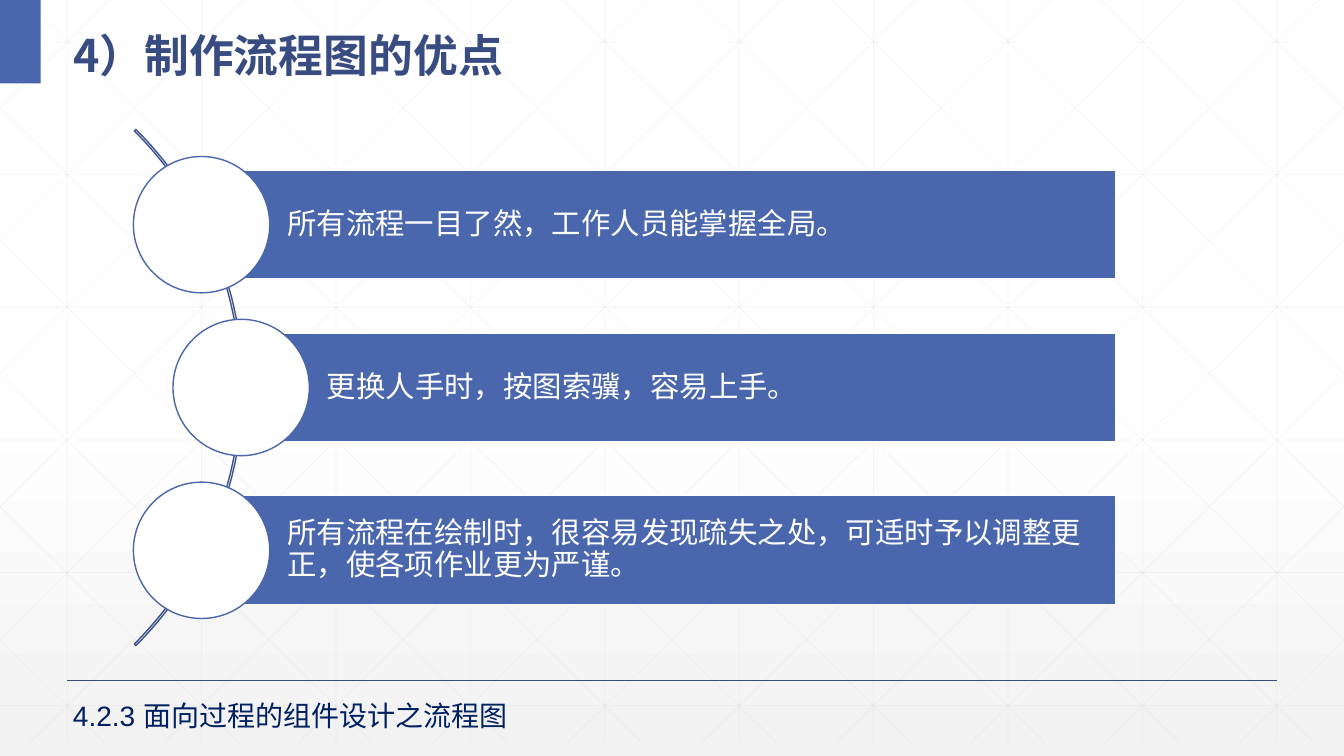
from lxml import etree
from pptx import Presentation
from pptx.dml.color import RGBColor
from pptx.enum import shapes, text
from pptx.oxml.ns import qn
from pptx.util import Pt

# Content
TITLE = "4）制作流程图的优点"
FOOTER = "4.2.3 面向过程的组件设计之流程图"
ADVANTAGES = [  # text, bar left edge
    ("所有流程一目了然，工作人员能掌握全局。", 144),
    ("更换人手时，按图索骥，容易上手。", 172.3),
    ("所有流程在绘制时，很容易发现疏失之处，可适时予以调整更正，使各项作业更为严谨。", 144),
]

WHITE = RGBColor(0xFF, 0xFF, 0xFF)
PALE = RGBColor(0xF2, 0xF2, 0xF2)
GRID = RGBColor(0xD9, 0xD9, 0xD9)
BLUE = RGBColor(0x4A, 0x66, 0xAC)
ARC_BLUE = RGBColor(0x3B, 0x52, 0x8A)
DARK_BLUE = RGBColor(0x38, 0x4C, 0x81)
NAVY = RGBColor(0x00, 0x20, 0x60)
LATIN, CJK = "Arial", "Noto Sans CJK SC"

# Geometry in points
WIDTH, HEIGHT = 960, 540
GRID_BOTTOM, GRID_STEP, GRID_ROW = 530.6, 96, 94.75
DIAGONAL_START, DIAGONAL_RUN = 18, 536.7
BAR_RIGHT, BAR_HEIGHT, BAR_PITCH = 797, 77.9, 116.3
CENTER_Y, CIRCLE = 276.8, 97.4
ARC_LEFT, ARC_SIZE = -347.8, 521.3

deck = Presentation()
deck.slide_width, deck.slide_height = Pt(WIDTH), Pt(HEIGHT)
page = deck.slides.add_slide(deck.slide_layouts[5])


def add_line(x1, y1, x2, y2, color, width, alpha=None):
    line = page.shapes.add_connector(
        shapes.MSO_CONNECTOR.STRAIGHT, Pt(x1), Pt(y1), Pt(x2), Pt(y2))
    line.line.color.rgb = color
    line.line.width = Pt(width)
    if alpha:
        tint = next(line.element.iter(qn("a:srgbClr")))
        etree.SubElement(tint, qn("a:alpha"), val=str(alpha * 1000))
    etree.SubElement(line.element.spPr, qn("a:effectLst"))


def add_shape(kind, left, top, width, height, fill=None, outline=None):
    shape = page.shapes.add_shape(kind, Pt(left), Pt(top), Pt(width), Pt(height))
    shape.shadow.inherit = False
    if fill is None:
        shape.fill.background()
    else:
        shape.fill.solid()
        shape.fill.fore_color.rgb = fill
    if outline is None:
        shape.line.fill.background()
    else:
        shape.line.color.rgb = outline
        shape.line.width = Pt(1)
    return shape


def write(box, words, size, color, latin=LATIN, spacing=None, bold=False,
          anchor=text.MSO_ANCHOR.MIDDLE, wrap=True):
    frame = box.text_frame
    frame.word_wrap = wrap
    frame.vertical_anchor = anchor
    para = frame.paragraphs[0]
    para.text = words
    para.alignment = text.PP_ALIGN.LEFT
    para.line_spacing = spacing
    para.font.size = Pt(size)
    para.font.bold = bold
    para.font.color.rgb = color
    para.font.name = latin
    defaults = next(box.element.iter(qn("a:defRPr")))
    etree.SubElement(defaults, qn("a:ea"), typeface=CJK)
    return frame


# Background gradient
fill = page.background.fill
fill.gradient()
fill.gradient_angle = 270
for stop, color, position in zip(fill.gradient_stops, (WHITE, PALE), (0.53, 1)):
    stop.color.rgb = color
    stop.position = position

# Faint grid: columns, rows, then diagonals mirrored left to right
grid = [(x, 0, x, GRID_BOTTOM) for x in range(48, WIDTH, GRID_STEP)]
grid += [(0, 30 + row * GRID_ROW, WIDTH, 30 + row * GRID_ROW) for row in range(6)]
slope = GRID_BOTTOM / DIAGONAL_RUN
for step in range(-5, 10):
    start = DIAGONAL_START + step * GRID_STEP
    x1, x2 = max(start, 0), min(start + DIAGONAL_RUN, WIDTH)
    y1, y2 = (x1 - start) * slope, (x2 - start) * slope
    grid += [(x1, y1, x2, y2), (WIDTH - x1, y1, WIDTH - x2, y2)]
for ends in grid:
    add_line(*ends, GRID, 0.5, alpha=25)

# Title, corner block and footer rule
add_line(48, 486, 912, 486, DARK_BLUE, 1)
add_shape(shapes.MSO_SHAPE.RECTANGLE, 0, 0, 29, 59.5, BLUE)
title = page.shapes.title
title.left, title.top, title.width, title.height = Pt(45), Pt(7.2), Pt(894), Pt(52.5)
write(title, TITLE, 32, DARK_BLUE, CJK, 1.3, True)
page.shapes.element.append(title.element)  # bring above the grid

# Arc behind the list
arc = add_shape(shapes.MSO_SHAPE.BLOCK_ARC, ARC_LEFT, CENTER_Y - ARC_SIZE / 2,
                ARC_SIZE, ARC_SIZE, outline=ARC_BLUE)
for index, value in enumerate((189, 27, 0.003)):
    arc.adjustments[index] = value

# Bars with a circle centred on each left edge
for index, (words, left) in enumerate(ADVANTAGES):
    middle = CENTER_Y + (index - 1) * BAR_PITCH
    bar = add_shape(shapes.MSO_SHAPE.RECTANGLE, left, middle - BAR_HEIGHT / 2,
                    BAR_RIGHT - left, BAR_HEIGHT, BLUE, WHITE)
    frame = write(bar, words, 21, WHITE, spacing=0.9)
    frame.margin_left = Pt(61.2)
    frame.margin_top = frame.margin_right = frame.margin_bottom = Pt(4.2)
    add_shape(shapes.MSO_SHAPE.OVAL, left - CIRCLE / 2, middle - CIRCLE / 2,
              CIRCLE, CIRCLE, WHITE, BLUE)

# Footer
footer = page.shapes.add_textbox(Pt(45), Pt(495.5), Pt(337.7), Pt(31.5))
write(footer, FOOTER, 20, NAVY, anchor=text.MSO_ANCHOR.TOP, wrap=False)

deck.save("out.pptx")
